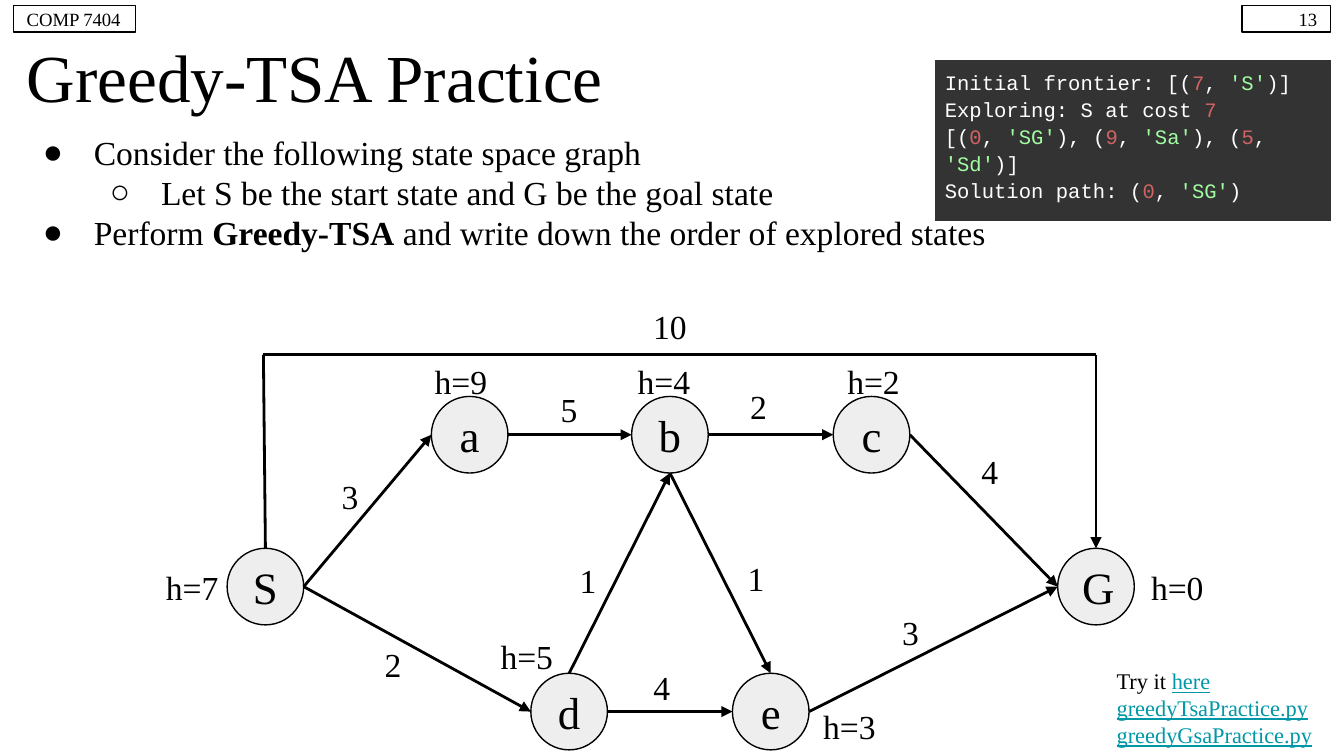
from lxml.etree import SubElement
from pptx import Presentation
from pptx.dml.color import RGBColor
from pptx.enum.shapes import MSO_CONNECTOR, MSO_SHAPE
from pptx.enum.text import MSO_ANCHOR, PP_ALIGN
from pptx.oxml.ns import qn
from pptx.util import Inches, Pt

hues = {"ink": "000000", "node": "EEEEEE", "link": "0097A7", "code": "333333",
        "white": "FFFFFF", "red": "D36363", "green": "A2FCA2"}
hue = {key: RGBColor.from_string(val) for key, val in hues.items()}
LEFT, MID, RIGHT = PP_ALIGN.LEFT, PP_ALIGN.CENTER, PP_ALIGN.RIGHT

deck = Presentation()
deck.slide_width, deck.slide_height = Inches(10), Inches(10 * 9 / 16)
slide = deck.slides.add_slide(deck.slide_layouts[6])


def write(para, runs, size, face="Times New Roman"):
    for text, tone, mark in runs:
        for num, part in enumerate(text.split("\n")):
            if num:
                para.add_line_break()
                gap = para._p.findall(qn("a:br"))[-1]
                SubElement(gap, qn("a:rPr"), sz=str(size * 100))
            if part:
                run = para.add_run()
                run.text = part
                font = run.font
                font.name, font.size = face, Pt(size)
                font.color.rgb = hue[tone]
                font.bold = mark == "b"
                font.underline = mark == "u"


def add_box(spot, lines, size, align=LEFT, kind=None, fill=None):
    area = [Inches(val) for val in spot]
    if kind is None:
        box = slide.shapes.add_textbox(*area)
    else:
        box = slide.shapes.add_shape(kind, *area)
        box.shadow.inherit = False
        box.line.color.rgb = hue["ink"]
        box.line.width = Pt(0.75)
        if fill:
            box.fill.solid()
            box.fill.fore_color.rgb = hue[fill]
        else:
            box.fill.background()
    frame = box.text_frame
    frame.word_wrap = True
    frame.vertical_anchor = MSO_ANCHOR.MIDDLE
    frame.margin_left = frame.margin_right = Inches(0.1)
    frame.margin_top = frame.margin_bottom = Inches(0.1)
    for num, runs in enumerate(lines):
        para = frame.add_paragraph() if num else frame.paragraphs[0]
        para.alignment = align
        write(para, runs, size)
    return frame


add_box((0.1, 0.28, 9.8, 0.57), [[("Greedy-TSA Practice", "ink", "")]], 36)

body = add_box((0.1, 0.88, 9.8, 4.61), [
    [("Consider the following state space graph", "ink", "")],
    [("Let S be the start state and G be the goal state", "ink", "")],
    [("Perform ", "ink", ""), ("Greedy-TSA", "ink", "b"),
     (" and write down the order of explored states", "ink", "")],
], 18)
body.vertical_anchor = MSO_ANCHOR.TOP
for para, level in zip(body.paragraphs, (0, 1, 0)):
    para.level = level
    para.line_spacing = 1.0
    props = para._p.get_or_add_pPr()
    props.set("marL", str(Inches(0.5 + 0.5 * level)))
    props.set("indent", str(Inches(-0.38)))
    tint = SubElement(props, qn("a:buClr"))
    SubElement(tint, qn("a:srgbClr"), val=hues["ink"])
    SubElement(props, qn("a:buSzPts"), val="1800")
    SubElement(props, qn("a:buFont"), typeface="Times New Roman")
    SubElement(props, qn("a:buChar"), char="●○"[level])

for left, wide, text, align in ((9.24, 0.66, "13", RIGHT),
                                (0.1, 0.91, "COMP 7404", LEFT)):
    add_box((left, 0.04, wide, 0.2), [[(text, "ink", "")]], 10, align,
            MSO_SHAPE.RECTANGLE)

SIZE = 0.57
nodes = {"S": (1.69, 4.08), "a": (3.21, 2.95), "b": (4.7, 2.95),
         "c": (6.2, 2.95), "d": (3.95, 5.01), "e": (5.45, 5.01),
         "G": (7.87, 4.08)}
for name, (left, top) in nodes.items():
    add_box((left, top, SIZE, SIZE), [[(name, "ink", "")]], 24, MID,
            MSO_SHAPE.OVAL, "node")

sides = {"top": (0.5, 0), "left": (0, 0.5), "low": (0.5, 1), "right": (1, 0.5)}
ports = {(name, side): (left + dx * SIZE, top + dy * SIZE)
         for name, (left, top) in nodes.items()
         for side, (dx, dy) in sides.items()}
edges = [("S", "right", "d", "left"), ("S", "right", "a", "left"),
         ("a", "right", "b", "left"), ("b", "right", "c", "left"),
         ("c", "right", "G", "left"), ("d", "right", "e", "left"),
         ("d", "top", "b", "low"), ("b", "low", "e", "top"),
         ("e", "right", "G", "left")]
lines = [(ports[one, out], ports[two, into], True)
         for one, out, two, into in edges]
start, goal = ports["S", "top"], ports["G", "top"]
turns = (1.96, 2.64), (goal[0], 2.64)
lines += [(start, turns[0], False), (*turns, False), (turns[1], goal, True)]
for head, tail, arrow in lines:
    ends = [Inches(val) for val in head + tail]
    link = slide.shapes.add_connector(MSO_CONNECTOR.STRAIGHT, *ends)
    link.line.color.rgb = hue["ink"]
    link.line.width = Pt(1.5)
    if arrow:
        SubElement(link.line._get_or_add_ln(), qn("a:tailEnd"), type="triangle")
    SubElement(link._element.spPr, qn("a:effectLst"))

costs = [("3", 2.32, 3.41), ("2", 2.64, 4.66), ("10", 4.7, 2.14),
         ("5", 3.95, 2.76), ("2", 5.36, 2.74), ("4", 7.08, 3.22),
         ("1", 4.09, 4.03), ("1", 5.34, 4.02), ("4", 4.64, 4.83),
         ("3", 6.49, 4.42)]
for text, left, top in costs:
    add_box((left, top, SIZE, SIZE), [[(text, "ink", "")]], 18, MID)

guess = [(7, 1.13, 4.19), (0, 8.46, 4.19), (5, 3.62, 4.71), (9, 3.13, 2.66),
         (4, 4.64, 2.66), (2, 6.2, 2.66), (3, 6.02, 5.23)]
for val, left, top in guess:
    add_box((left, top, 0.6, 0.35), [[(f"h={val}", "ink", "")]], 18, MID)

table = slide.shapes.add_table(1, 1, Inches(6.96), Inches(0.45),
                               Inches(2.94), Inches(0.97)).table
table.first_row = table.horz_banding = False
cell = table.cell(0, 0)
cell.margin_left = cell.margin_right = Inches(0.07)
cell.margin_top = cell.margin_bottom = Inches(0.07)
props = cell._tc.get_or_add_tcPr()
for edge in ("a:lnL", "a:lnR", "a:lnT", "a:lnB"):
    rim = SubElement(props, qn(edge), w=str(Pt(0.75)))
    paint = SubElement(rim, qn("a:solidFill"))
    tint = SubElement(paint, qn("a:srgbClr"), val=hues["ink"])
    SubElement(tint, qn("a:alpha"), val="0")
cell.fill.solid()
cell.fill.fore_color.rgb = hue["code"]
trace = [("Initial frontier: [(", "white"), ("7", "red"), (", ", "white"),
         ("'S'", "green"), (")]\nExploring: S at cost ", "white"),
         ("7\n", "red"), ("[(", "white"), ("0", "red"), (", ", "white"),
         ("'SG'", "green"), ("), (", "white"), ("9", "red"), (", ", "white"),
         ("'Sa'", "green"), ("), (", "white"), ("5", "red"), (", ", "white"),
         ("'Sd'", "green"), (")]\nSolution path: (", "white"), ("0", "red"),
         (", ", "white"), ("'SG'", "green"), (")", "white")]
para = cell.text_frame.paragraphs[0]
para.line_spacing = 1.15
write(para, [(text, tone, "") for text, tone in trace], 11, "Courier New")
SubElement(para._p, qn("a:endParaRPr"), sz="1100")

add_box((8.21, 4.91, 1.79, 0.71), [
    [("Try it ", "ink", ""), ("here", "link", "u")],
    [("greedyTsaPractice.py", "link", "u")],
    [("greedyGsaPractice.py", "link", "u")],
], 12)

deck.save("out.pptx")
